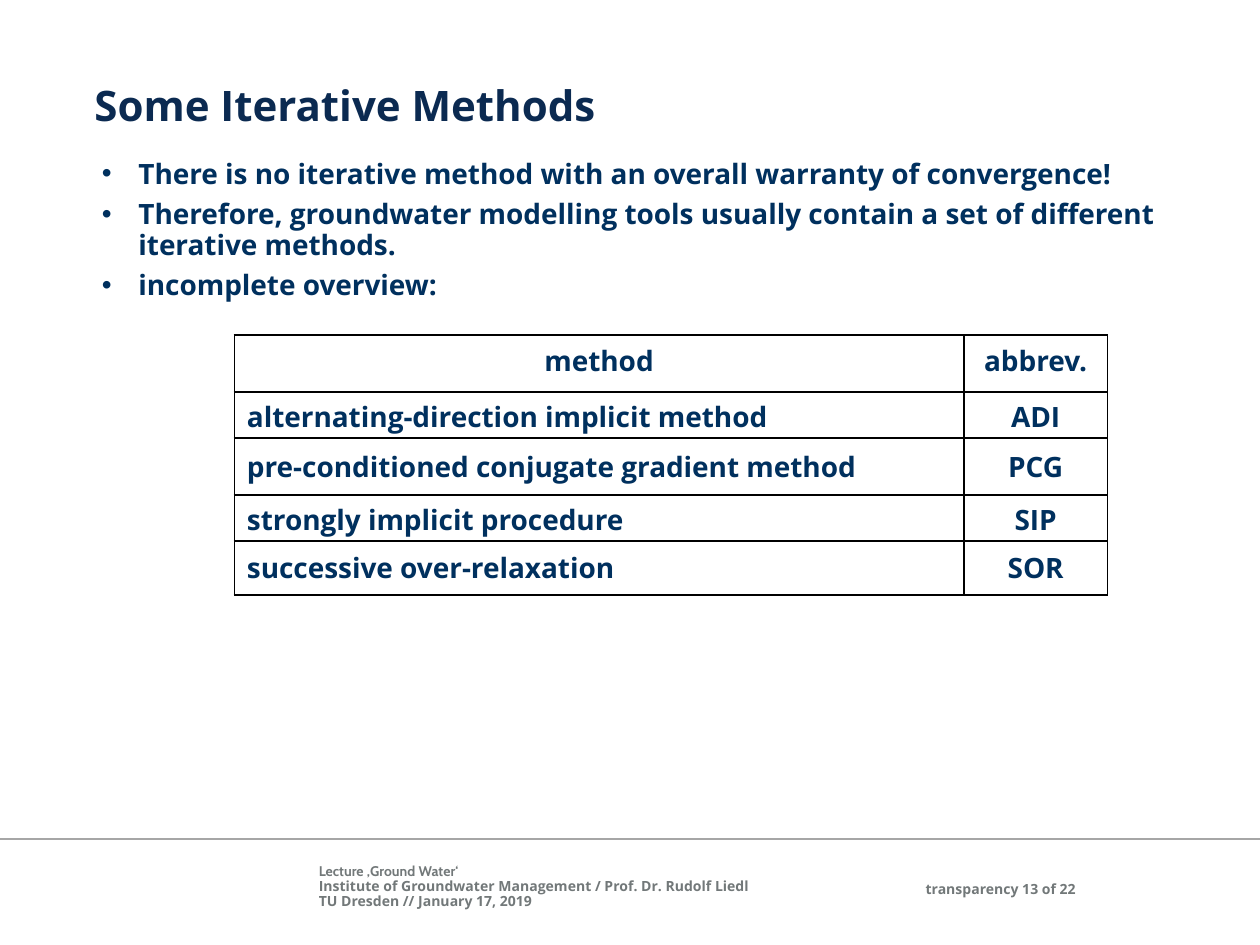
from lxml import etree
from pptx import Presentation
from pptx.dml.color import RGBColor
from pptx.enum.shapes import MSO_CONNECTOR
from pptx.enum.text import MSO_ANCHOR, PP_ALIGN
from pptx.oxml.ns import qn
from pptx.util import Inches, Pt

LEFT, CENTER, RIGHT, JUSTIFY = (
    PP_ALIGN.LEFT, PP_ALIGN.CENTER, PP_ALIGN.RIGHT, PP_ALIGN.JUSTIFY)
TOP, MIDDLE = MSO_ANCHOR.TOP, MSO_ANCHOR.MIDDLE
STRAIGHT = MSO_CONNECTOR.STRAIGHT

WIDTH, HEIGHT = 10, 7.5
NAVY, TITLE_BLUE, GREY, RULE_GREY, BLACK = (
    "00305E", "0B2A51", "727879", "A6A6A6", "000000")
BODY_FONT, LECTURE_FONT = "Open Sans", "Cabin"
FOOTER_TOP, FOOTER_HEIGHT = 6.86, 0.4
BULLET_INDENT = 0.29

BULLETS = [
    "There is no iterative method with an overall warranty of convergence!",
    "Therefore, groundwater modelling tools usually contain a set of "
    "different iterative methods.",
    "incomplete overview:",
]
METHODS = [
    ("method", "abbrev."),
    ("alternating-direction implicit method", "ADI"),
    ("pre-conditioned conjugate gradient method", "PCG"),
    ("strongly implicit procedure", "SIP"),
    ("successive over-relaxation", "SOR"),
]
COLUMN_WIDTHS = [5.79, 1.14]
ROW_HEIGHTS = [0.45, 0.33, 0.45, 0.33, 0.43]
FOOTER_LINES = [
    ("Lecture ‚Ground Water‘", LECTURE_FONT),
    ("Institute of Groundwater Management / Prof. Dr. Rudolf Liedl", BODY_FONT),
    ("TU Dresden // January 17, 2019", BODY_FONT),
]


def color(hex_value):
    return RGBColor.from_string(hex_value)


def write(paragraph, text, size, hex_value, font=BODY_FONT, **paragraph_format):
    """Fill a paragraph with one bold run and set its paragraph format."""
    for name, value in paragraph_format.items():
        setattr(paragraph, name, value)
    run = paragraph.add_run()
    run.text = text
    run.font.color.rgb = color(hex_value)
    for name, value in {"name": font, "size": Pt(size), "bold": True}.items():
        setattr(run.font, name, value)


def add_text_frame(slide, left, top, width, height, inset=0, anchor=TOP):
    box = slide.shapes.add_textbox(*map(Inches, (left, top, width, height)))
    frame = box.text_frame
    frame.word_wrap = True
    frame.vertical_anchor = anchor
    for side, share in {"left": 1, "right": 1, "top": 0.5, "bottom": 0.5}.items():
        setattr(frame, f"margin_{side}", Inches(inset * share))
    return frame


def paragraphs(frame, count):
    """Yield the given number of paragraphs, the first one included."""
    yield frame.paragraphs[0]
    for _ in range(count - 1):
        yield frame.add_paragraph()


def add_bullet(paragraph):
    properties = paragraph._p.get_or_add_pPr()
    properties.set("marL", str(Inches(BULLET_INDENT)))
    properties.set("indent", str(-Inches(BULLET_INDENT)))
    etree.SubElement(properties, qn("a:buFont")).set("typeface", "Arial")
    etree.SubElement(properties, qn("a:buChar")).set("char", "•")


def add_borders(cell):
    properties = cell._tc.get_or_add_tcPr()
    for position, side in enumerate(("lnL", "lnR", "lnT", "lnB")):
        line = etree.Element(qn(f"a:{side}"), w=str(Pt(1)))
        fill = etree.SubElement(line, qn("a:solidFill"))
        etree.SubElement(fill, qn("a:srgbClr")).set("val", BLACK)
        properties.insert(position, line)


def add_methods_table(slide, left, top):
    frame = slide.shapes.add_table(
        len(METHODS), len(COLUMN_WIDTHS), Inches(left), Inches(top),
        Inches(sum(COLUMN_WIDTHS)), Inches(sum(ROW_HEIGHTS)))
    table = frame.table
    for column, width in zip(table.columns, COLUMN_WIDTHS):
        column.width = Inches(width)
    for row_index, texts in enumerate(METHODS):
        table.rows[row_index].height = Inches(ROW_HEIGHTS[row_index])
        is_header = row_index == 0
        for column_index, text in enumerate(texts):
            cell = table.cell(row_index, column_index)
            cell.fill.background()
            cell.vertical_anchor = TOP if is_header else MIDDLE
            centered = is_header or column_index == 1
            write(cell.text_frame.paragraphs[0], text, 16, NAVY,
                  alignment=CENTER if centered else JUSTIFY)
            add_borders(cell)


def add_footer(slide):
    # Rule across the slide
    rule = slide.shapes.add_connector(
        STRAIGHT, 0, Inches(6.66), Inches(WIDTH), Inches(6.66))
    rule.line.color.rgb = color(RULE_GREY)
    rule.line.width = Pt(1)
    etree.SubElement(rule._element.spPr, qn("a:effectLst"))

    # Lecture details
    frame = add_text_frame(slide, 2.53, FOOTER_TOP, 4.52, FOOTER_HEIGHT)
    for paragraph, (text, font) in zip(paragraphs(frame, len(FOOTER_LINES)),
                                       FOOTER_LINES):
        write(paragraph, text, 8, GREY, font, alignment=LEFT, line_spacing=0.9)

    # Page count, level with the middle line
    frame = add_text_frame(slide, 7.17, FOOTER_TOP, 1.37, FOOTER_HEIGHT,
                           anchor=MIDDLE)
    write(frame.paragraphs[0], "transparency 13 of 22", 8, GREY,
          alignment=RIGHT, line_spacing=0.9)


def main():
    presentation = Presentation()
    presentation.slide_width = Inches(WIDTH)
    presentation.slide_height = Inches(HEIGHT)
    slide = presentation.slides.add_slide(presentation.slide_layouts[6])

    add_footer(slide)

    # Title
    frame = add_text_frame(slide, 0.75, 0.68, 8.66, 0.47)
    write(frame.paragraphs[0], "Some Iterative Methods", 24, TITLE_BLUE,
          line_spacing=0.9, space_before=Pt(6))

    add_methods_table(slide, left=1.86, top=2.66)

    # Bullets
    frame = add_text_frame(slide, 0.71, 1.22, 8.58, 1.35, inset=0.1)
    for paragraph, text in zip(paragraphs(frame, len(BULLETS)), BULLETS):
        write(paragraph, text, 16, NAVY, line_spacing=0.9, space_after=Pt(6))
        add_bullet(paragraph)

    presentation.save("out.pptx")


if __name__ == "__main__":
    main()
